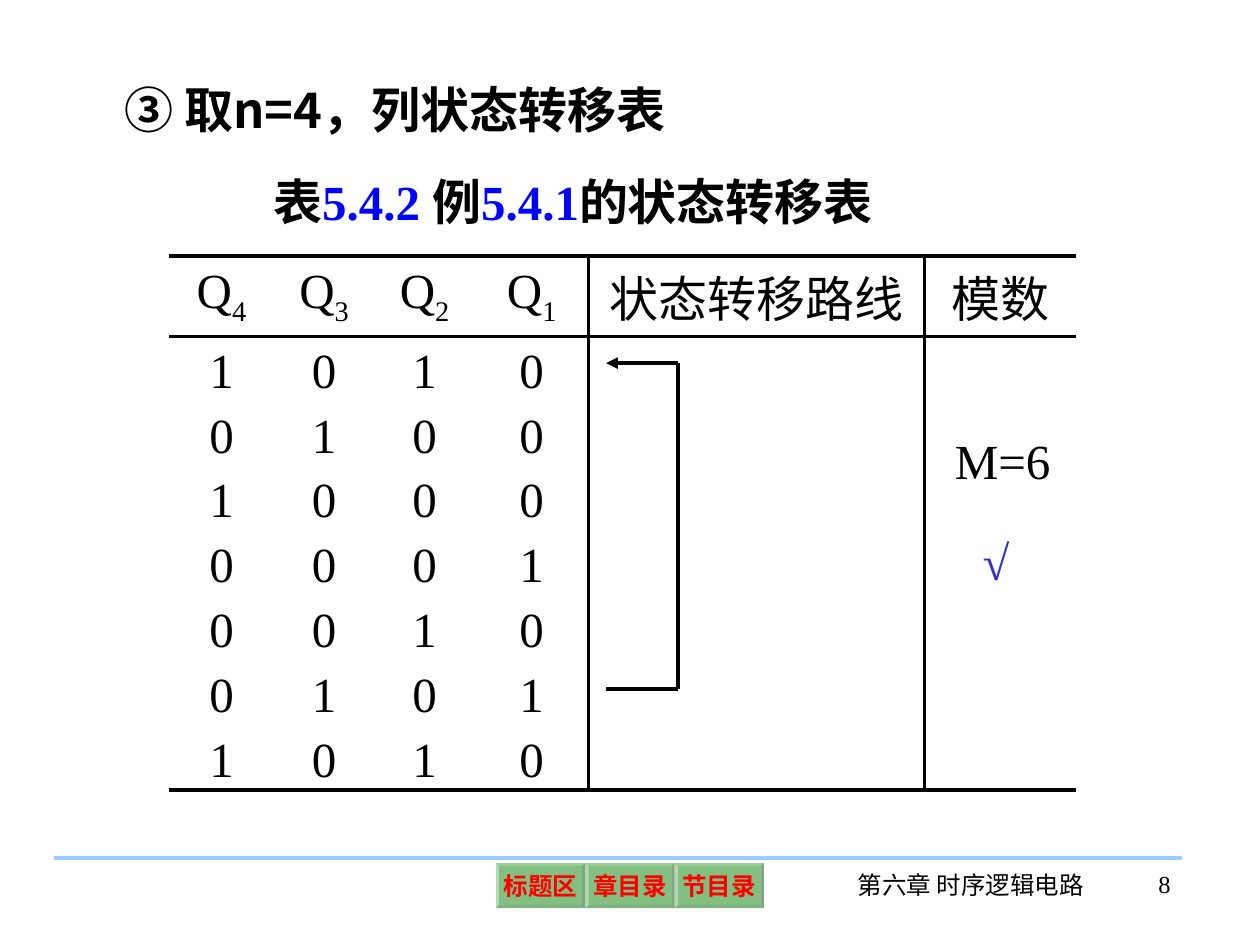
import pptx
import pptx.util
import pptx.dml.color
import pptx.enum.shapes
import pptx.enum.text
import pptx.oxml
import pptx.oxml.ns
from dataclasses import dataclass

Cm = pptx.util.Cm
Pt = pptx.util.Pt
qn = pptx.oxml.ns.qn
Align = pptx.enum.text.PP_ALIGN
Anchor = pptx.enum.text.MSO_ANCHOR


@dataclass(frozen=True)
class Theme:
    serif: str = "Times New Roman"
    sans: str = "Noto Sans CJK SC"
    ink: str = "000000"
    blue: str = "0000FF"
    tick: str = "3333CC"
    rule: str = "99CCFF"
    green: str = "008000"
    red: str = "FF0000"
    big: float = 28
    small: float = 14
    line: float = 2.25


T = Theme()
STATES = ["1010", "0100", "1000", "0001", "0010", "0101", "1010"]
COLS = [2.13, 2.01, 2.04, 2.28, 6.78, 3.06]
LEFT, TOP, HEAD, ROW = 3.4, 5.16, 1.62, 1.29


def rgb(color):
    return pptx.dml.color.RGBColor.from_string(color)


def child(node, tag, **attrs):
    item = pptx.oxml.ns.qn(tag)
    item = node.makeelement(item, attrs)
    node.append(item)
    return item


def write(frame, text, size=T.big, font=T.serif, color=T.ink, bold=False,
          align=Align.LEFT):
    """Text is a string, or a list of (string, changes) pairs."""
    para = frame.paragraphs[0]
    para.alignment = align
    parts = [(text, {})] if isinstance(text, str) else text
    for words, diff in parts:
        run = para.add_run()
        run.text = words
        run.font.size = Pt(size)
        run.font.bold = bold
        run.font.color.rgb = rgb(diff.get("color", color))
        run.font.name = diff.get("font", font)
        props = run.font._element
        child(props, "a:ea", typeface=T.sans)
        if "base" in diff:
            props.set("baseline", str(diff["base"] * 1000))


def label(slide, text, x, y, w, h, **form):
    box = slide.shapes.add_textbox(Cm(x), Cm(y), Cm(w), Cm(h))
    box.text_frame.word_wrap = True
    write(box.text_frame, text, **form)


def line(slide, x1, y1, x2, y2, color=T.ink, arrow=False):
    link = slide.shapes.add_connector(
        pptx.enum.shapes.MSO_CONNECTOR.STRAIGHT, Cm(x1), Cm(y1), Cm(x2), Cm(y2))
    link.line.color.rgb = rgb(color)
    link.line.width = Pt(T.line)
    if arrow:
        child(link.line._ln, "a:tailEnd", type="triangle")
    child(link._element.spPr, "a:effectLst")


def button(slide, text, x, y=17.4, w=1.8, h=0.91):
    shape = slide.shapes.add_shape(
        pptx.enum.shapes.MSO_SHAPE.BEVEL, Cm(x), Cm(y), Cm(w), Cm(h))
    shape.shadow.inherit = False
    shape.adjustments[0] = 0.07
    shape.line.fill.background()
    shape.fill.solid()
    shape.fill.fore_color.rgb = rgb(T.green)
    tint = shape._element.spPr.find(qn("a:solidFill"))[0]
    child(tint, "a:alpha", val="49000")
    frame = shape.text_frame
    frame.margin_left = frame.margin_right = Cm(0.1)
    frame.margin_top = frame.margin_bottom = Cm(0)
    frame.vertical_anchor = Anchor.MIDDLE
    frame.word_wrap = False
    write(frame, text, size=T.small, color=T.red, bold=True, align=Align.CENTER)


def edge(cell, sides):
    """Rule the sides of a cell, given in the order L, R, T, B."""
    props = cell._tc.get_or_add_tcPr()
    for side in "LRTB":
        on = side in sides
        width = int(Pt(T.line)) if on else 0
        rule = child(props, "a:ln" + side, w=str(width))
        fill = child(rule, "a:solidFill" if on else "a:noFill")
        if on:
            child(fill, "a:srgbClr", val=T.ink)


def grid(slide):
    heads = [[("Q", {}), (n, {"base": -25})] for n in "4321"]
    rows = [heads + ["状态转移路线", "模数"]]
    rows += [list(bits) + ["", ""] for bits in STATES]
    last = len(rows) - 1
    frame = slide.shapes.add_table(
        len(rows), len(COLS), Cm(LEFT), Cm(TOP), Cm(sum(COLS)),
        Cm(HEAD + ROW * last))
    table = frame.table
    table.first_row = table.horz_banding = False
    style = table._tbl.tblPr.find(qn("a:tableStyleId"))
    style.text = "{2D5ABB26-0587-4C30-8999-92F81FD0307C}"
    for col, width in zip(table.columns, COLS):
        col.width = Cm(width)
    for r, row in enumerate(rows):
        table.rows[r].height = Cm(ROW if r else HEAD)
        for c, text in enumerate(row):
            cell = table.cell(r, c)
            cell.margin_left = cell.margin_right = Cm(0.1)
            cell.margin_top = Cm(0.12 if r else 0.04)
            cell.margin_bottom = Cm(0 if r else 0.04)
            cell.vertical_anchor = Anchor.MIDDLE
            sides = "L" if c in (4, 5) else ""
            sides += "R" if c in (3, 4) else ""
            sides += "T" if r in (0, 1) else ""
            sides += "B" if r in (0, last) else ""
            edge(cell, sides)
            cell.fill.background()
            if text:
                write(cell.text_frame, text, align=Align.CENTER)


def main():
    deck = pptx.Presentation()
    deck.slide_width, deck.slide_height = Cm(25.4), Cm(19.05)
    slide = deck.slides.add_slide(deck.slide_layouts[6])

    # Heading and caption
    label(slide, "③ 取n=4，列状态转移表", 2.26, 1.47, 12.3, 1.45,
          font=T.sans, bold=True)
    mark = {"font": T.serif, "color": T.blue}
    label(slide, [("表", {}), ("5.4.2 ", mark), ("例", {}), ("5.4.1", mark),
                  ("的状态转移表", {})],
          5.26, 3.33, 14.9, 1.45, font=T.sans, bold=True)

    # State table with its modulus
    grid(slide)
    label(slide, "M=6", 19, 8.56, 2.82, 1.45)
    label(slide, "√", 19.56, 10.59, 1.52, 1.45, color=T.tick)

    # Loop from the sixth state back to the first
    near, far, first, sixth = 12.22, 13.67, 7.32, 13.89
    line(slide, near, sixth, far, sixth)
    line(slide, far, sixth, far, first)
    line(slide, far, first, near, first, arrow=True)

    # Footer
    line(slide, 1.09, 17.3, 23.83, 17.3, color=T.rule)
    for n, text in enumerate(["标题区", "章目录", "节目录"]):
        button(slide, text, 10 + 1.8 * n)
    label(slide, "第六章 时序逻辑电路", 16.92, 17.42, 5.31, 1.27,
          size=T.small, align=Align.CENTER)
    label(slide, "8", 21.67, 17.4, 2.18, 1.27, size=T.small, align=Align.RIGHT)

    deck.save("out.pptx")


if __name__ == "__main__":
    main()
